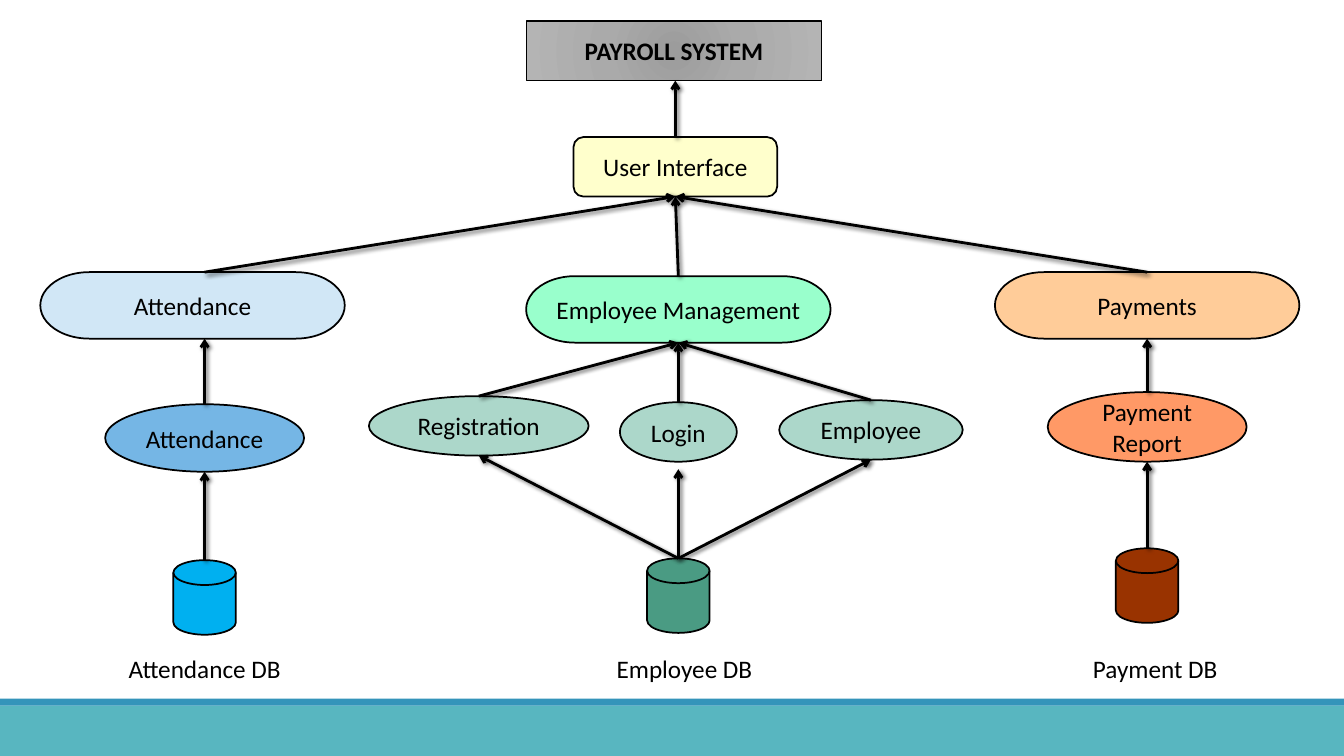
import dataclasses

import pptx
import pptx.dml.color
import pptx.enum.shapes
import pptx.enum.text
import pptx.oxml
import pptx.oxml.ns
import pptx.util

SHAPE = pptx.enum.shapes.MSO_SHAPE
ANCHOR = pptx.enum.text.MSO_ANCHOR
NAMESPACE = pptx.oxml.ns.nsdecls("a")
SLIDE_WIDTH, SLIDE_HEIGHT = pptx.util.Inches(13.33), pptx.util.Inches(7.5)
COLUMN, ROW = SLIDE_WIDTH / 100, SLIDE_HEIGHT / 100


@dataclasses.dataclass(frozen=True)
class Theme:
    font: str = "Calibri"
    size: float = 18
    ink: str = "000000"
    outline: float = 1.25
    title_outline: float = 1
    arrow: float = 2
    title_stops: tuple = ((0, "9C9C9C"), (45, "AAAAAA"), (100, "B4B4B4"))
    interface: str = "FFFFCC"
    band: str = "58B6C0"
    stripe: str = "3494BA"


THEME = Theme()


@dataclasses.dataclass(frozen=True)
class Box:
    left: float
    top: float
    width: float
    height: float

    @property
    def middle(self):
        return self.left + self.width / 2

    @property
    def bottom(self):
        return self.top + self.height

    def inner(self, shift, down, width, height):
        return Box(self.middle + shift - width / 2, self.top + down, width, height)

    def emu(self):
        return (round(self.left * COLUMN), round(self.top * ROW),
                round(self.width * COLUMN), round(self.height * ROW))


@dataclasses.dataclass(frozen=True)
class Unit:
    text: str
    shift: float
    down: float
    width: float
    height: float
    gap: float = 0


@dataclasses.dataclass(frozen=True)
class Branch:
    box: Box
    module: str
    module_fill: str
    units: tuple
    unit_fill: str
    store: str
    store_fill: str
    store_down: float
    module_shift: float = 0
    store_shift: float = 0


BRANCHES = (
    Branch(Box(3.9, 36, 22.65, 55), "Attendance", "D1E7F6",
           (Unit("Attendance", 0, 17.47, 14.8, 8.93),), "75B6E5",
           "Attendance DB", "00B0F0", 38.1, module_shift=-0.9),
    Branch(Box(27.45, 36.53, 46.05, 54.5), "Employee Management", "99FFCC",
           (Unit("Registration", -14.85, 15.87, 16.35, 7.87),
            Unit("Login", 0, 16.67, 8.7, 7.87, gap=1),
            Unit("Employee", 14.33, 16.4, 13.65, 7.87)), "ACD7CA",
           "Employee DB", "4A9B83", 37.33, store_shift=0.45),
    Branch(Box(74.03, 36, 22.65, 55), "Payments", "FFCC99",
           (Unit("Payment Report", 0, 15.87, 14.8, 9.2),), "FF9966",
           "Payment DB", "993300", 36.53, store_shift=0.6),
)


def rgb(value):
    return pptx.dml.color.RGBColor.from_string(value)


def write(frame, text, bold=False, anchor=ANCHOR.MIDDLE):
    frame.word_wrap = True
    frame.auto_size = pptx.enum.text.MSO_AUTO_SIZE.NONE
    frame.vertical_anchor = anchor
    paragraph = frame.paragraphs[0]
    paragraph.alignment = pptx.enum.text.PP_ALIGN.CENTER
    run = paragraph.add_run()
    run.text = text
    run.font.name = THEME.font
    run.font.size = pptx.util.Pt(THEME.size)
    run.font.bold = bold
    run.font.color.rgb = rgb(THEME.ink)


def draw_node(slide, preset, box, fill, text="", outlined=True):
    node = slide.shapes.add_shape(preset, *box.emu())
    node.shadow.inherit = False
    node.fill.solid()
    node.fill.fore_color.rgb = rgb(fill)
    if outlined:
        node.line.color.rgb = rgb(THEME.ink)
        node.line.width = pptx.util.Pt(THEME.outline)
    else:
        node.line.fill.background()
    if text:
        write(node.text_frame, text)


def draw_link(slide, start, end):
    points = [round(share * unit) for share, unit in zip(start + end, (COLUMN, ROW) * 2)]
    link = slide.shapes.add_connector(pptx.enum.shapes.MSO_CONNECTOR.STRAIGHT, *points)
    link.line.color.rgb = rgb(THEME.ink)
    link.line.width = pptx.util.Pt(THEME.arrow)
    link.line._get_or_add_ln().append(
        pptx.oxml.parse_xml(f'<a:tailEnd {NAMESPACE} type="arrow"/>'))
    link._element.spPr.append(pptx.oxml.parse_xml(
        f'<a:effectLst {NAMESPACE}><a:outerShdw blurRad="38100" dist="25400" dir="2700000" '
        f'rotWithShape="0"><a:srgbClr val="{THEME.ink}"><a:alpha val="60000"/></a:srgbClr>'
        '</a:outerShdw></a:effectLst>'))


def draw_title(slide, box):
    title = slide.shapes.title
    title.left, title.top, title.width, title.height = box.emu()
    title.line.color.rgb = rgb(THEME.ink)
    title.line.width = pptx.util.Pt(THEME.title_outline)
    stops = "".join(f'<a:gs pos="{position * 1000}"><a:srgbClr val="{colour}"/></a:gs>'
                    for position, colour in THEME.title_stops)
    properties = title._element.spPr
    properties.insert(1, pptx.oxml.parse_xml(
        f'<a:prstGeom {NAMESPACE} prst="roundRect"><a:avLst/></a:prstGeom>'))
    properties.insert(2, pptx.oxml.parse_xml(
        f'<a:gradFill {NAMESPACE}><a:gsLst>{stops}</a:gsLst><a:path path="circle">'
        '<a:fillToRect l="100000" t="100000" r="100000" b="100000"/></a:path></a:gradFill>'))
    write(title.text_frame, "PAYROLL SYSTEM", bold=True)


def draw_header(slide, box):
    title = box.inner(-0.1, 0, 21.98, 7.87)
    interface = box.inner(0, 15.33, 15.15, 7.87)
    draw_title(slide, title)
    draw_node(slide, SHAPE.ROUNDED_RECTANGLE, interface, THEME.interface, "User Interface")
    draw_link(slide, (box.middle, interface.top), (box.middle, title.bottom))


def draw_branch(slide, branch, target):
    box = branch.box
    module = box.inner(branch.module_shift, 0, 22.65, 8.8)
    disk = box.inner(0, branch.store_down, 4.65, 9.87)
    label = Box(box.middle + branch.store_shift - 8.7, 85.73, 17.4, 5.33)
    draw_node(slide, SHAPE.FLOWCHART_TERMINATOR, module, branch.module_fill, branch.module)
    draw_node(slide, SHAPE.FLOWCHART_MAGNETIC_DISK, disk, branch.store_fill)
    for unit in branch.units:
        oval = box.inner(unit.shift, unit.down, unit.width, unit.height)
        draw_node(slide, SHAPE.OVAL, oval, branch.unit_fill, unit.text)
        draw_link(slide, (box.middle, disk.top), (oval.middle, oval.bottom + unit.gap))
        draw_link(slide, (oval.middle, oval.top), (box.middle, module.bottom))
    caption = slide.shapes.add_textbox(*label.emu())
    write(caption.text_frame, branch.store, anchor=ANCHOR.TOP)
    draw_link(slide, (box.middle, module.top), target)


def draw_footer(slide, box):
    stripe = box.inner(0, 0, box.width, 0.93)
    band = box.inner(0, 0.93, box.width, box.height - 0.93)
    draw_node(slide, SHAPE.RECTANGLE, band, THEME.band, outlined=False)
    draw_node(slide, SHAPE.RECTANGLE, stripe, THEME.stripe, outlined=False)


def main():
    deck = pptx.Presentation()
    deck.slide_width, deck.slide_height = SLIDE_WIDTH, SLIDE_HEIGHT
    slide = deck.slides.add_slide(deck.slide_layouts[5])
    header = Box(39.25, 2.8, 22, 23.2)
    draw_footer(slide, Box(0, 92.4, 100, 7.6))
    draw_header(slide, header)
    for branch in BRANCHES:
        draw_branch(slide, branch, (header.middle, header.bottom))
    deck.save("out.pptx")


if __name__ == "__main__":
    main()
